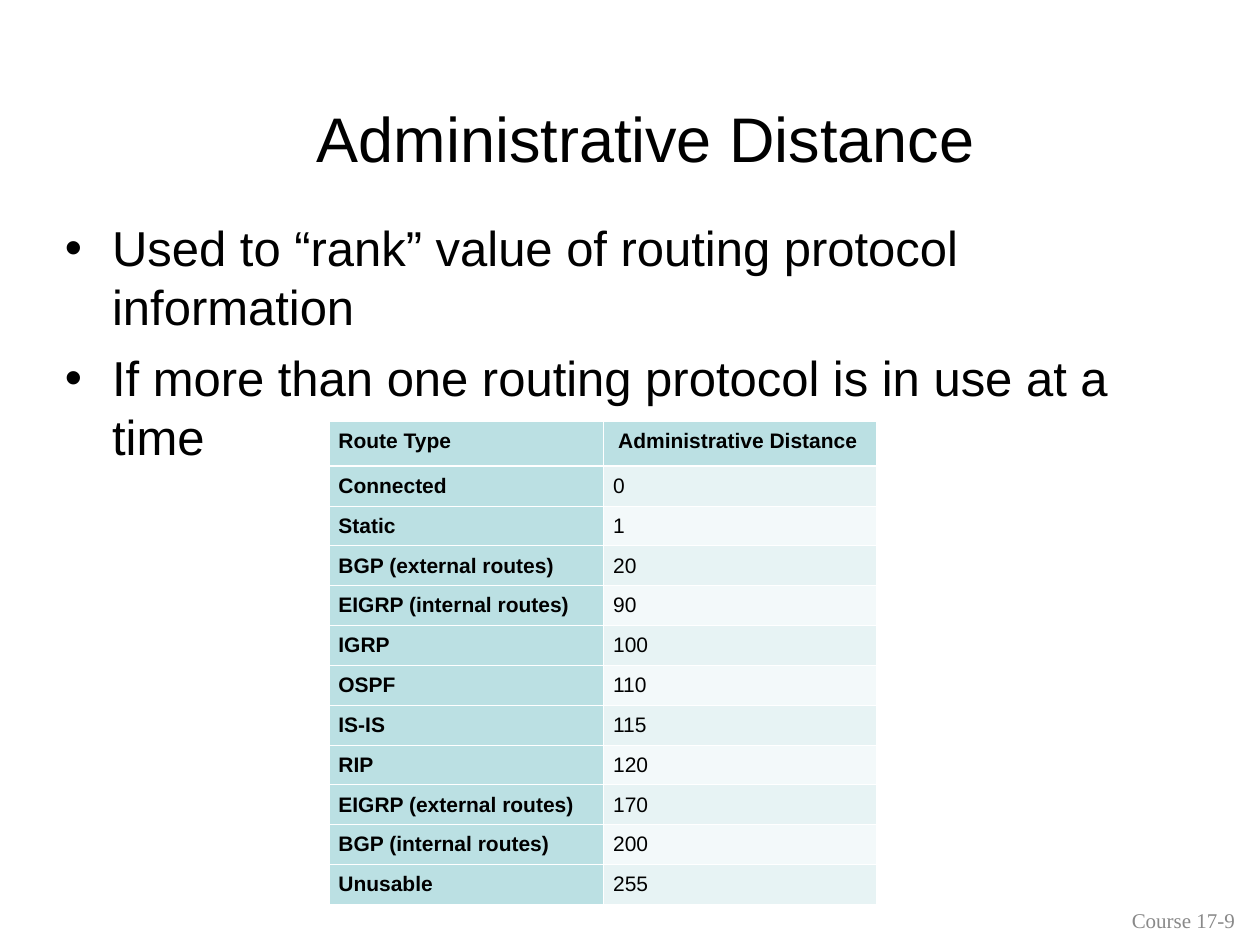
from lxml.etree import SubElement
from pptx import Presentation
from pptx.dml.color import RGBColor
from pptx.enum.text import MSO_ANCHOR as Anchor, PP_ALIGN as Align
from pptx.oxml.ns import qn
from pptx.util import Pt


def color(hex_string):
    return RGBColor.from_string(hex_string)


def write(paragraph, text, size, font="Arial", ink="000000", bold=False):
    paragraph.text = text
    paragraph.font.size = Pt(size)
    paragraph.font.name = font
    paragraph.font.bold = bold
    paragraph.font.color.rgb = color(ink)


prs = Presentation()
prs.slide_width, prs.slide_height = Pt(720), Pt(540)
slide = prs.slides.add_slide(prs.slide_layouts[6])

# Bullet points
points = slide.shapes.add_textbox(Pt(30), Pt(121), Pt(648), Pt(395)).text_frame
points.word_wrap = True
for i, point in enumerate([
    "Used to “rank” value of routing protocol information",
    "If more than one routing protocol is in use at a time",
]):
    paragraph = points.add_paragraph() if i else points.paragraphs[0]
    props = paragraph._p.get_or_add_pPr()
    props.set("marL", str(Pt(27)))
    props.set("indent", str(Pt(-27)))
    SubElement(props, qn("a:buFont"), typeface="Arial")
    SubElement(props, qn("a:buChar"), char="•")
    paragraph.space_before = Pt(7 if i else 0)
    write(paragraph, point, 28)

# Title
title = slide.shapes.add_textbox(Pt(45), Pt(48.8), Pt(648), Pt(59.8)).text_frame
title.word_wrap = True
title.vertical_anchor = Anchor.MIDDLE
title.paragraphs[0].alignment = Align.CENTER
write(title.paragraphs[0], "Administrative Distance", 36)

# Administrative distance of each route type
routes = [
    ("Route Type", " Administrative Distance"),
    ("Connected", "0"),
    ("Static", "1"),
    ("BGP (external routes)", "20"),
    ("EIGRP (internal routes)", "90"),
    ("IGRP", "100"),
    ("OSPF", "110"),
    ("IS-IS", "115"),
    ("RIP", "120"),
    ("EIGRP (external routes)", "170"),
    ("BGP (internal routes)", "200"),
    ("Unusable", "255"),
]
distances = slide.shapes.add_table(
    len(routes), 2, Pt(188), Pt(240.5), Pt(313), Pt(267)).table
distances.first_row = distances.horz_banding = False
distances.columns[0].width, distances.columns[1].width = Pt(157), Pt(156)

for r, route in enumerate(routes):
    distances.rows[r].height = Pt(21.9 if r else 25.9)
    for c, text in enumerate(route):
        cell = distances.cell(r, c)
        cell.margin_left = cell.margin_right = Pt(5.4)
        cell.margin_top = cell.margin_bottom = Pt(3.6)
        heading = r == 0 or c == 0
        paragraph = cell.text_frame.paragraphs[0]
        paragraph.line_spacing = 1.08
        write(paragraph, text, 12, bold=heading)

        # White rules, thicker under the header row
        for side in ("L", "R", "T", "B"):
            thick = (r, side) in [(0, "B"), (1, "T")]
            rule = SubElement(cell._tc.get_or_add_tcPr(), qn(f"a:ln{side}"),
                              w=str(Pt(1.47 if thick else 0.45)))
            SubElement(SubElement(rule, qn("a:solidFill")), qn("a:srgbClr"), val="FFFFFF")

        cell.fill.solid()
        band = "E7F3F4" if r % 2 else "F3F9FA"
        cell.fill.fore_color.rgb = color("BBE0E3" if heading else band)

# Page number
page = slide.shapes.add_textbox(Pt(545), Pt(511.2), Pt(167.8), Pt(28.8)).text_frame
page.word_wrap = True
page.vertical_anchor = Anchor.MIDDLE
page.paragraphs[0].alignment = Align.RIGHT
write(page.paragraphs[0], "Course 17-9", 12, "Times New Roman", "898989")

prs.save("out.pptx")
